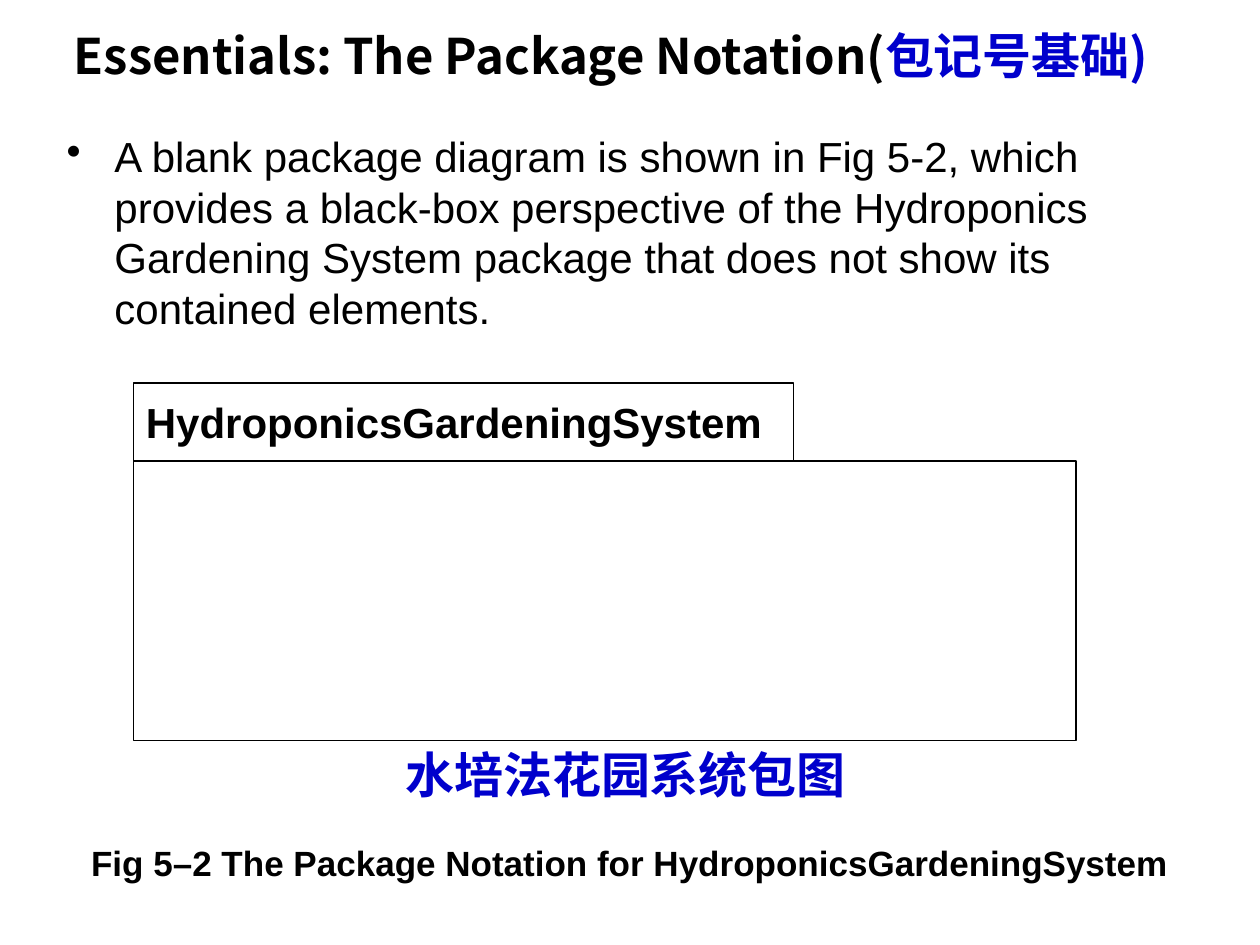
import pptx
import pptx.util
import pptx.dml.color
import pptx.enum.shapes
import pptx.enum.text
import lxml.etree
from pptx.util import Inches

ALIGN = pptx.enum.text.PP_ALIGN
ANCHOR = pptx.enum.text.MSO_ANCHOR
CJK = "Noto Sans CJK SC"
BLACK, BLUE, WHITE = "000000", "0000CC", "FFFFFF"


def color(hex_value):
    return pptx.dml.color.RGBColor.from_string(hex_value)


def write(frame, runs, size=24, font="Arial", bold=True, align=ALIGN.LEFT,
          anchor=ANCHOR.TOP, spacing=None, inset=0.05, bullet=None):
    frame.word_wrap = True
    frame.vertical_anchor = anchor
    frame.margin_left = frame.margin_right = Inches(0.1)
    frame.margin_top = frame.margin_bottom = Inches(inset)
    paragraph = frame.paragraphs[0]
    paragraph.alignment = align
    if spacing:
        paragraph.line_spacing = spacing
    if bullet:
        properties = paragraph._p.get_or_add_pPr()
        properties.set("marL", str(Inches(0.38)))
        properties.set("indent", str(Inches(-0.38)))
        mark = lxml.etree.SubElement(properties, pptx.oxml.ns.qn("a:buChar"))
        mark.set("char", bullet)
    for text, hex_value in runs:
        run = paragraph.add_run()
        run.text = text
        run.font.size = pptx.util.Pt(size)
        run.font.bold = bold
        run.font.name = font
        run.font.color.rgb = color(hex_value)
        east_asian = lxml.etree.SubElement(run.font._element, pptx.oxml.ns.qn("a:ea"))
        east_asian.set("typeface", font)


deck = pptx.Presentation()
deck.slide_width, deck.slide_height = Inches(10), Inches(7.5)
slide = deck.slides.add_slide(deck.slide_layouts[6])

caption = slide.shapes.add_textbox(Inches(0.5), Inches(6.66), Inches(9), Inches(0.47))
write(caption.text_frame,
      [("Fig 5–2 The Package Notation for HydroponicsGardeningSystem", BLACK)],
      size=20, align=ALIGN.CENTER, spacing=0.8, inset=0.08)

package = slide.shapes.add_group_shape()
parts = []
for top, width, height in [(3.66, 7.48, 2.22), (3.04, 5.24, 0.62)]:
    part = package.shapes.add_shape(
        pptx.enum.shapes.MSO_SHAPE.RECTANGLE,
        Inches(1.06), Inches(top), Inches(width), Inches(height))
    part.shadow.inherit = False
    part.fill.solid()
    part.fill.fore_color.rgb = color(WHITE)
    part.line.color.rgb = color(BLACK)
    part.line.width = pptx.util.Pt(0.75)
    parts.append(part)
package_body, package_tab = parts
write(package_tab.text_frame, [("HydroponicsGardeningSystem", BLACK)], anchor=ANCHOR.MIDDLE)

explanation = slide.shapes.add_textbox(Inches(0.43), Inches(0.99), Inches(9.29), Inches(1.73))
write(explanation.text_frame,
      [("A blank package diagram is shown in Fig 5-2, which provides a black-box "
        "perspective of the Hydroponics Gardening System package that does not show "
        "its contained elements.", BLACK)],
      bold=False, bullet="•")

translation = slide.shapes.add_textbox(Inches(2.8), Inches(5.86), Inches(4.33), Inches(0.57))
write(translation.text_frame, [("水培法花园系统包图", BLUE)],
      size=28, font=CJK, align=ALIGN.CENTER)

title = slide.shapes.add_textbox(Inches(0.35), Inches(0.05), Inches(9), Inches(0.77))
write(title.text_frame,
      [("Essentials: The Package Notation(", BLACK), ("包记号基础)", BLUE)],
      size=28, font=CJK, align=ALIGN.CENTER, anchor=ANCHOR.MIDDLE)

deck.save("out.pptx")
